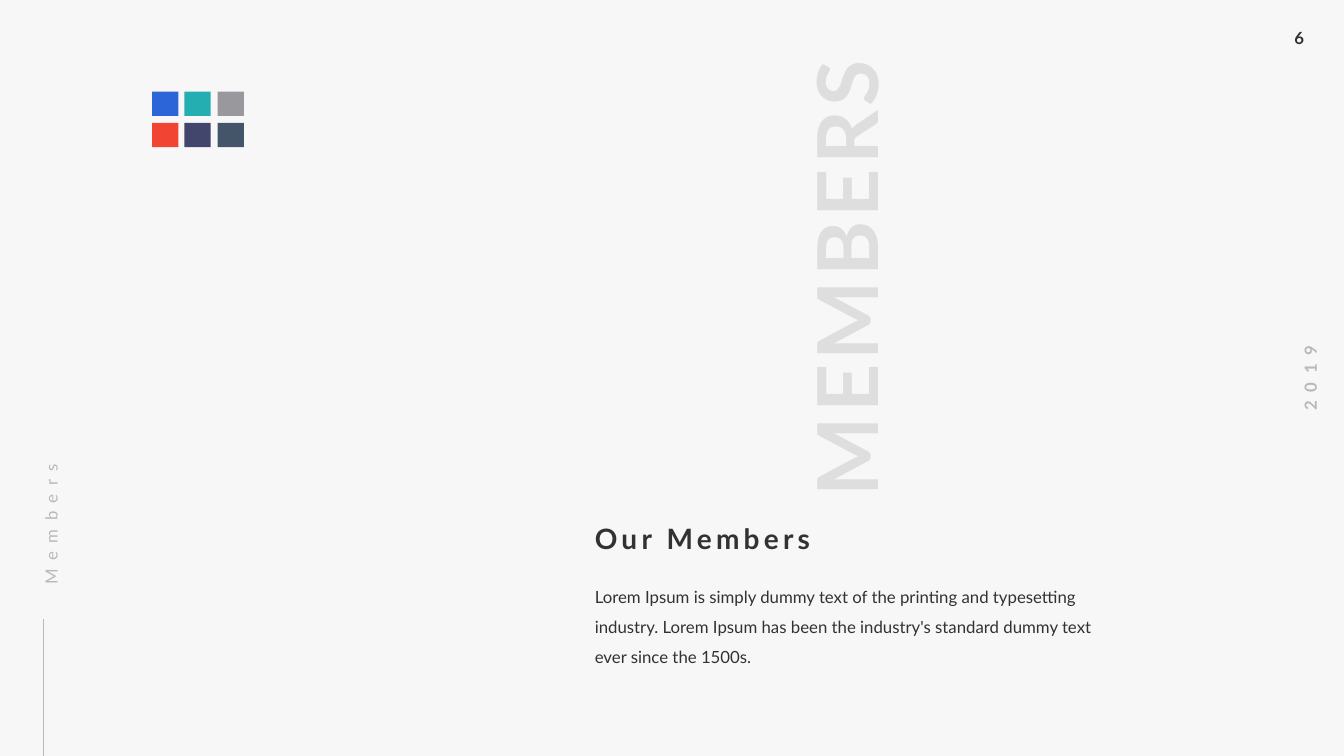
from dataclasses import dataclass

from lxml.etree import SubElement
from pptx import Presentation
from pptx.dml.color import RGBColor
from pptx.enum.shapes import MSO_CONNECTOR, MSO_SHAPE
from pptx.enum.text import MSO_AUTO_SIZE, PP_ALIGN
from pptx.oxml.ns import qn
from pptx.shapes.shapetree import GroupShapes, SlideShapes
from pptx.util import Emu, Pt

SCALE = 9144


def px(count: int) -> Emu:
    return Emu(count * SCALE)


@dataclass(frozen=True)
class Theme:
    paper: str = "F7F7F7"
    ink: str = "323232"
    mute: str = "B9B9B9"
    ghost: str = "DEDEDE"
    face: str = "Lato"
    body: int = 12
    head: int = 20
    giant: int = 60
    hues: tuple[tuple[str, ...], ...] = (
        ("2C65D8", "25AEB1", "99999D"),
        ("F24432", "42456C", "445469"),
    )


THEME = Theme()


@dataclass(frozen=True)
class Label:
    text: str
    box: tuple[int, int, int, int]
    color: str = THEME.ink
    size: int = THEME.body
    bold: bool = False
    track: int = 0
    turn: int = 0
    lead: float = 1.0
    wrap: bool = True
    flush: bool = True
    align: PP_ALIGN = PP_ALIGN.LEFT


LABELS = (
    Label("6", (1274, 23, 41, 30), bold=True, wrap=False, flush=False),
    Label("2019", (1253, 360, 93, 30), color=THEME.mute, bold=True, track=6,
          turn=270, wrap=False, flush=False, align=PP_ALIGN.CENTER),
    Label("MEMBERS", (598, 226, 480, 100), color=THEME.ghost,
          size=THEME.giant, bold=True, track=3, turn=270,
          align=PP_ALIGN.CENTER),
    Label("Lorem Ipsum is simply dummy text of the printing and typesetting "
          "industry. Lorem Ipsum has been the industry's standard dummy text "
          "ever since the 1500s.", (590, 572, 513, 87), lead=1.5),
    Label("Our Members", (590, 517, 257, 34), size=THEME.head, bold=True,
          track=3),
    Label("Members", (-49, 474, 185, 26), color=THEME.mute, track=6,
          turn=270, lead=1.5),
)


def write(shapes: SlideShapes, label: Label) -> None:
    box = shapes.add_textbox(*map(px, label.box))
    box.rotation = label.turn
    frame = box.text_frame
    frame.word_wrap = label.wrap
    frame.auto_size = MSO_AUTO_SIZE.SHAPE_TO_FIT_TEXT
    if label.flush:
        frame.margin_left = frame.margin_top = frame.margin_bottom = 0
        frame.margin_right = 0 if label.align == PP_ALIGN.CENTER else px(10)
    para = frame.paragraphs[0]
    para.alignment = label.align
    para.line_spacing = label.lead
    run = para.add_run()
    run.text = label.text
    font = run.font
    font.name = THEME.face
    font.size = Pt(label.size)
    font.bold = label.bold
    font.color.rgb = RGBColor.from_string(label.color)
    if label.track:
        run._r.get_or_add_rPr().set("spc", str(label.track * 100))


def swatch(shapes: GroupShapes, row: int, col: int, hue: str) -> None:
    left, top = 151 + 65 * col // 2, 91 + 31 * row
    tile = shapes.add_shape(MSO_SHAPE.RECTANGLE, px(left), px(top), px(26), px(24))
    tile.shadow.inherit = False
    tile.fill.solid()
    tile.fill.fore_color.rgb = RGBColor.from_string(hue)
    tile.line.fill.background()


def rule(shapes: SlideShapes) -> None:
    line = shapes.add_connector(MSO_CONNECTOR.STRAIGHT, px(43), px(750), px(43), px(614))
    line.line.color.rgb = RGBColor.from_string(THEME.mute)
    line.line.width = Pt(0.5)
    SubElement(line._element.spPr, qn("a:effectLst"))


def main() -> None:
    deck = Presentation()
    deck.slide_width, deck.slide_height = px(1333), px(750)
    slide = deck.slides.add_slide(deck.slide_layouts[6])
    fill = slide.background.fill
    fill.solid()
    fill.fore_color.rgb = RGBColor.from_string(THEME.paper)
    for label in LABELS:
        write(slide.shapes, label)
    rule(slide.shapes)
    group = slide.shapes.add_group_shape()
    for row, hues in enumerate(THEME.hues):
        for col, hue in enumerate(hues):
            swatch(group.shapes, row, col, hue)
    deck.save("out.pptx")


if __name__ == "__main__":
    main()
